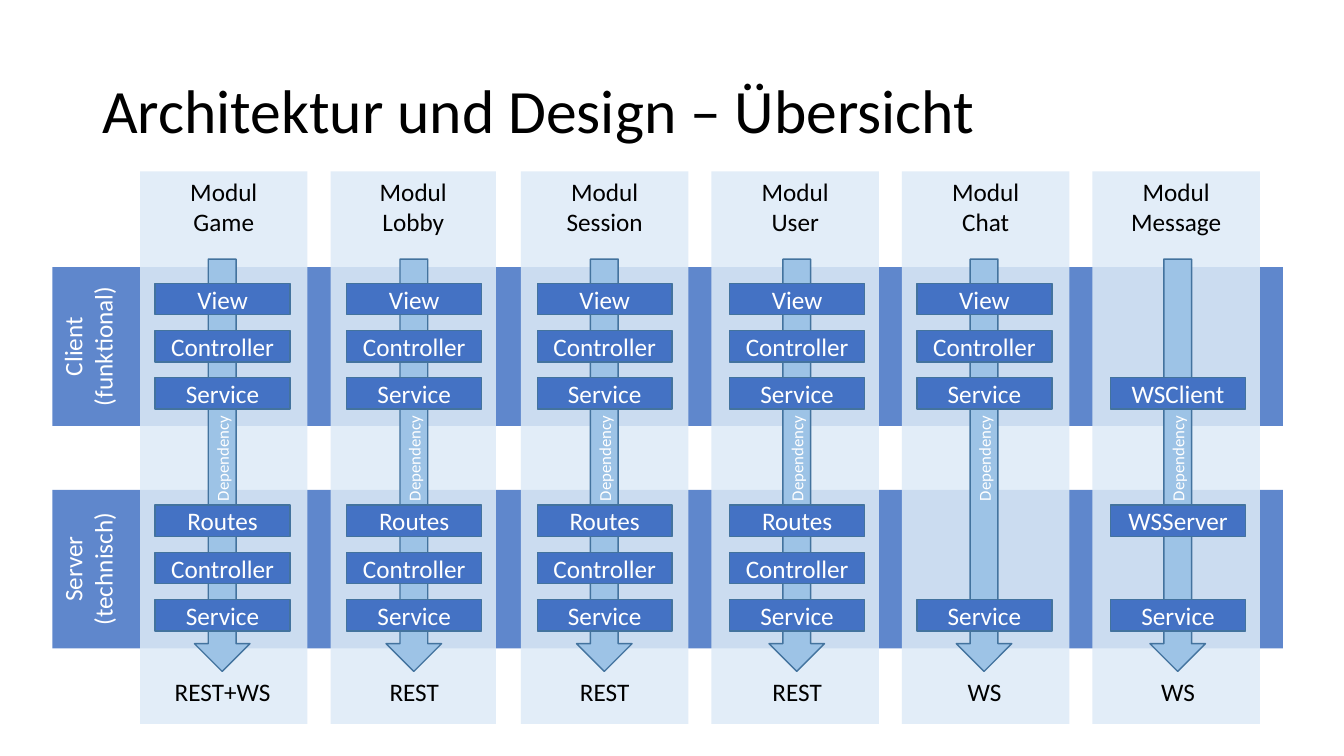
from dataclasses import dataclass

from lxml import etree
from pptx import Presentation
from pptx import util as u
from pptx.dml.color import RGBColor
from pptx.enum import shapes, text
from pptx.oxml import ns


@dataclass(frozen=True)
class Theme:
    """Hold the colours, type sizes and font."""
    font: str = "Calibri"
    blue: str = "4472C4"
    pale: str = "DEEBF7"
    sky: str = "9DC3E6"
    edge: str = "43739E"
    white: str = "FFFFFF"
    black: str = "000000"
    head: int = 44
    body: int = 18
    small: int = 12


T = Theme()
RECT = shapes.MSO_SHAPE.RECTANGLE
ARROW = shapes.MSO_SHAPE.DOWN_ARROW
TOP = text.MSO_ANCHOR.TOP
MID = text.MSO_ANCHOR.MIDDLE
LEFT = text.PP_ALIGN.LEFT
MIDDLE = text.PP_ALIGN.CENTER
ROW = 1.19
TIERS = 2.82, 8.41
FULL = ("View", "Controller", "Service"), ("Routes", "Controller", "Service")
MODULES = [
    ("Game", 4.22, 0.38, FULL, "REST+WS"),
    ("Lobby", 4.17, 0.41, FULL, "REST"),
    ("Session", 4.22, 0.41, FULL, "REST"),
    ("User", 4.22, 0.46, FULL, "REST"),
    ("Chat", 4.22, 0.38, (FULL[0], ("", "", "Service")), "WS"),
    ("Message", 4.22, 0.46, (("", "", "WSClient"), ("WSServer", "", "Service")), "WS"),
]


def write(shape, words, size=T.body, color=T.black, align=MIDDLE, anchor=TOP, space=None):
    """Set text in a shape, one paragraph per line."""
    frame = shape.text_frame
    frame.word_wrap = True
    frame.vertical_anchor = anchor
    frame.text = words
    for para in frame.paragraphs:
        para.alignment = align
        para.line_spacing = space
        font = para.runs[0].font
        font.name, font.size = T.font, u.Pt(size)
        font.color.rgb = RGBColor.from_string(color)


def block(slide, kind, box, fill, edge=None, alpha=None):
    """Draw a filled shape in a box given in centimetres."""
    shape = slide.shapes.add_shape(kind, *map(u.Cm, box))
    shape.shadow.inherit = False
    shape.fill.solid()
    shape.fill.fore_color.rgb = RGBColor.from_string(fill)
    if edge:
        shape.line.color.rgb = RGBColor.from_string(edge)
        shape.line.width = u.Pt(1)
    else:
        shape.line.fill.background()
    if alpha:
        tone = shape.fill._xPr.find(".//" + ns.qn("a:srgbClr"))
        etree.SubElement(tone, ns.qn("a:alpha")).set("val", str(alpha * 1000))
    return shape


def label(slide, words, box, **style):
    """Place plain text in a box."""
    write(slide.shapes.add_textbox(*map(u.Cm, box)), words, **style)


def band(slide, words, box):
    """Draw a tier across the slide, its name turned at the left end."""
    x, y, w, h = box
    turned = x + (w - h) / 2, y + (h - w) / 2, h, w
    shape = block(slide, RECT, turned, T.blue, alpha=85)
    shape.rotation = 270
    write(shape, words, color=T.white)


def module(slide, name, shift, tiers, link, box):
    """Draw a module column with its arrow, layers and protocol."""
    x, y, w, h = box
    write(block(slide, RECT, box, T.pale, alpha=85), f"Modul\n{name}")
    left = x + shift
    arrow = block(slide, ARROW, (left + 0.99, y + 2.21, 1.4, 10.39), T.sky, T.edge)
    write(arrow, "Dependency", size=T.small, color=T.white, anchor=MID)
    arrow.text_frame._txBody.bodyPr.set("vert", "vert270")
    for top, layers in zip(TIERS, tiers):
        for row, layer in enumerate(layers):
            if layer:
                place = left, y + top + row * ROW, 3.4, 0.79
                write(block(slide, RECT, place, T.blue, T.edge), layer,
                      color=T.white, anchor=MID)
    label(slide, link, (left, y + 12.6, 3.4, 0.99))


def main():
    """Build and save the slide."""
    deck = Presentation()
    deck.slide_width, deck.slide_height = u.Cm(33.87), u.Cm(19.05)
    slide = deck.slides.add_slide(deck.slide_layouts[6])
    band(slide, "Server (technisch)", (1.32, 12.34, 31.01, 4))
    band(slide, "Client (funktional)", (1.32, 6.73, 31.01, 4))
    for col, (name, wide, shift, tiers, link) in enumerate(MODULES):
        module(slide, name, shift, tiers, link, (3.53 + col * 4.8, 4.32, wide, 13.92))
    label(slide, "Architektur und Design – Übersicht", (2.33, 1.01, 29.21, 3.68),
          size=T.head, align=LEFT, anchor=MID, space=0.9)
    deck.save("out.pptx")


if __name__ == "__main__":
    main()
